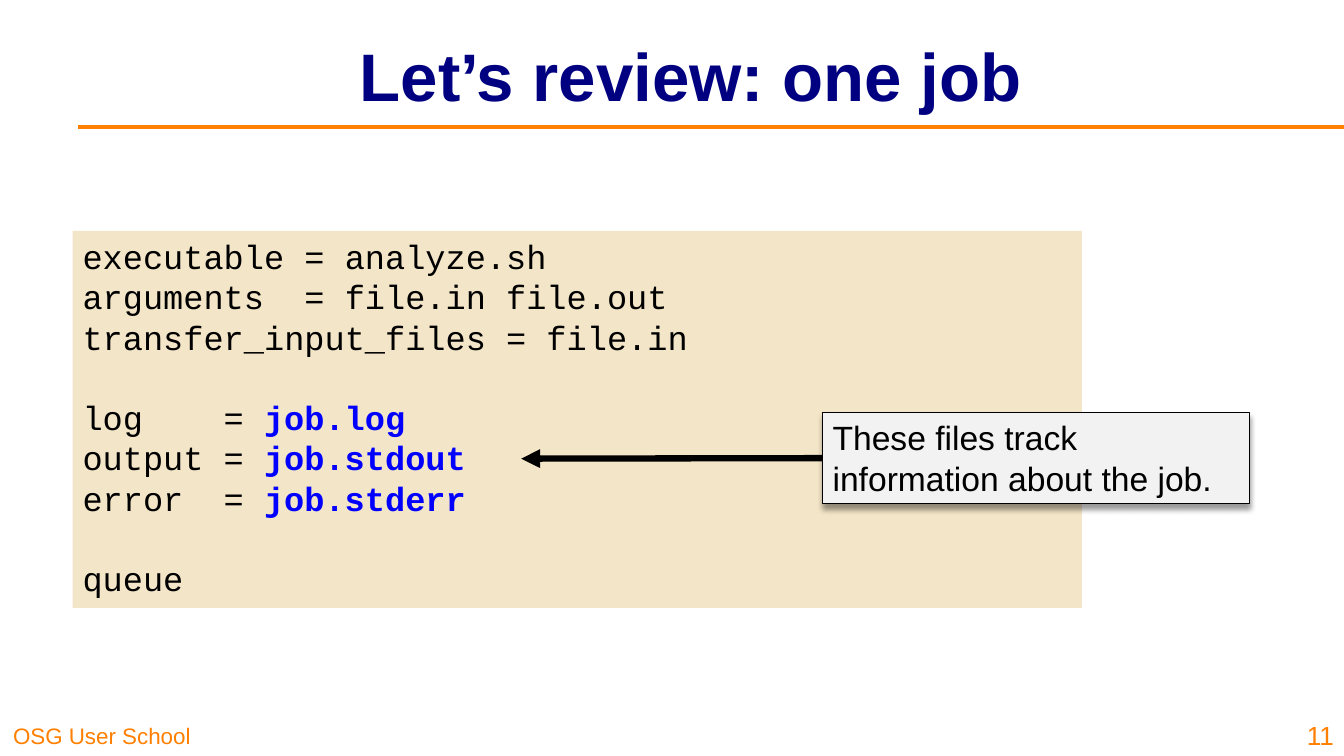
from lxml import etree
from pptx import Presentation
from pptx.dml.color import RGBColor
from pptx.enum import shapes, text
from pptx.oxml import ns
from pptx.util import Inches, Pt

BLACK, ORANGE, NAVY, BLUE = "000000", "FF8000", "000080", "0100FE"
SETTINGS = [
    ("executable = ", "analyze.sh", False, 0),
    ("arguments  = ", "file.in file.out", False, 0),
    ("transfer_input_files = ", "file.in", False, 0),
    ("log    = ", "job.log", True, 28.8),
    ("output = ", "job.stdout", True, 0),
    ("error  = ", "job.stderr", True, 0),
    ("queue", "", False, 28.8),
]


def rgb(value):
    return RGBColor.from_string(value)


def set_font(font, size, color, bold=False, name="Arial"):
    font.name, font.size, font.bold = name, Pt(size), bold
    font.color.rgb = rgb(color)


def add_label(slide, box, words, size, color, anchor, align, bold=False, insets=(0.1, 0.05)):
    sp = slide.shapes.add_textbox(*map(Inches, box))
    tf = sp.text_frame
    tf.word_wrap = True
    tf.vertical_anchor = anchor
    tf.margin_left = tf.margin_right = Inches(insets[0])
    tf.margin_top = tf.margin_bottom = Inches(insets[1])
    p = tf.paragraphs[0]
    p.text, p.alignment = words, align
    set_font(p.font, size, color, bold)


def add_panel(slide, box, fill):
    sp = slide.shapes.add_shape(shapes.MSO_SHAPE.RECTANGLE, *map(Inches, box))
    sp.shadow.inherit = False
    sp.fill.solid()
    sp.fill.fore_color.rgb = rgb(fill)
    sp.line.fill.background()
    sp.text_frame.word_wrap = True
    sp.text_frame.vertical_anchor = text.MSO_ANCHOR.TOP
    return sp


def add_code(slide, box):
    tf = add_panel(slide, box, "F3E5C7").text_frame
    for i, (key, value, strong, gap) in enumerate(SETTINGS):
        p = tf.add_paragraph() if i else tf.paragraphs[0]
        p.alignment = text.PP_ALIGN.LEFT
        p.space_before = Pt(gap)
        if strong:
            for words, color in ((key, BLACK), (value, BLUE)):
                r = p.add_run()
                r.text = words
                set_font(r.font, 24, color, color == BLUE, "Courier New")
        else:
            p.text = key + value
            set_font(p.font, 24, BLACK, name="Courier New")


def add_callout(slide, box, words):
    sp = add_panel(slide, box, "F2F2F2")
    sp.line.color.rgb = rgb(BLACK)
    sp.line.width = Pt(0.75)
    p = sp.text_frame.paragraphs[0]
    p.text, p.alignment = words, text.PP_ALIGN.LEFT
    set_font(p.font, 24, BLACK)
    effects = sp._element.spPr.find(ns.qn("a:effectLst"))
    shadow = etree.SubElement(effects, ns.qn("a:outerShdw"), blurRad=str(Pt(4)),
                              dist=str(Pt(3)), dir="5400000", rotWithShape="0")
    color = etree.SubElement(shadow, ns.qn("a:srgbClr"), val=BLACK)
    etree.SubElement(color, ns.qn("a:alpha"), val="40000")
    return sp


def add_line(slide, start, end, color, width):
    line = slide.shapes.add_connector(shapes.MSO_CONNECTOR.STRAIGHT, *map(Inches, start + end))
    line.line.color.rgb = rgb(color)
    line.line.width = Pt(width)
    etree.SubElement(line._element.spPr, ns.qn("a:effectLst"))
    return line


def add_arrow(slide, source, start, end):
    arrow = add_line(slide, start, end, BLACK, 4.5)
    arrow.begin_connect(source, 1)
    etree.SubElement(arrow.line._get_or_add_ln(), ns.qn("a:tailEnd"), type="triangle")


def main():
    prs = Presentation()
    prs.slide_width, prs.slide_height = Inches(13.33), Inches(7.5)
    slide = prs.slides.add_slide(prs.slide_layouts[6])
    anchor, align = text.MSO_ANCHOR, text.PP_ALIGN
    add_label(slide, (0, 7.08, 3.3, 0.42), "OSG User School", 16, ORANGE,
              anchor.BOTTOM, align.LEFT, insets=(0.13, 0.07))
    add_line(slide, (0.77, 1.26), (13.33, 1.26), ORANGE, 3)
    add_code(slide, (0.72, 2.29, 10.01, 3.74))
    add_label(slide, (1.79, 0.12, 10.13, 1.25), "Let’s review: one job", 48, NAVY,
              anchor.MIDDLE, align.CENTER, bold=True)
    add_label(slide, (12.72, 7, 0.61, 0.5), "11", 18.7, ORANGE, anchor.BOTTOM, align.RIGHT)
    callout = add_callout(slide, (8.16, 4.09, 4.23, 0.91), "These files track information about the job.")
    add_arrow(slide, callout, (8.16, 4.55), (5.17, 4.55))
    prs.save("out.pptx")


if __name__ == "__main__":
    main()
